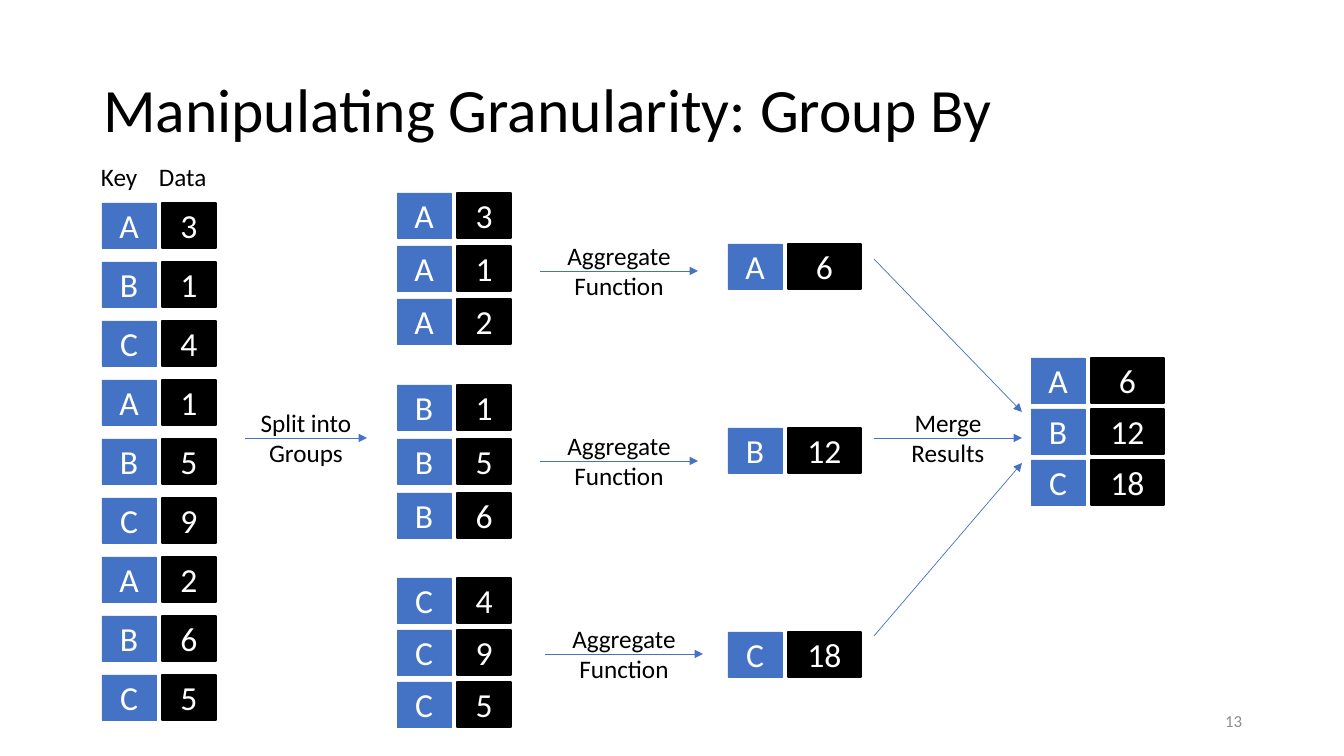
import pptx
import pptx.util
import pptx.dml.color
import pptx.enum.shapes
import pptx.enum.text
import pptx.oxml
import pptx.oxml.ns
from dataclasses import dataclass


@dataclass(frozen=True)
class Theme:
    font: str = "Calibri"
    blue: str = "4472C4"
    black: str = "000000"
    white: str = "FFFFFF"
    gray: str = "8C8C8C"
    title: int = 44
    cell: int = 24
    label: int = 18
    number: int = 12


THEME = Theme()
UNIT = 914400 / 100.8
ALIGN = pptx.enum.text.PP_ALIGN
ANCHOR = pptx.enum.text.MSO_ANCHOR
FIT = pptx.enum.text.MSO_AUTO_SIZE

TITLE = "Manipulating Granularity: Group By"
HEADS = [("Key", 91, 66), ("Data", 149, 83)]
KEY_W, ROW_H, STEP = 54, 45, 60

# left, top, pitch, data width, rows
STACKS = [
    (102, 203, 59, 54, [("A", 3), ("B", 1), ("C", 4), ("A", 1), ("B", 5),
                        ("C", 9), ("A", 2), ("B", 6), ("C", 5)]),
    (397, 193, 53, 54, [("A", 3), ("A", 1), ("A", 2)]),
    (397, 385, 54, 54, [("B", 1), ("B", 5), ("B", 6)]),
    (397, 578, 52, 54, [("C", 4), ("C", 9), ("C", 5)]),
    (728, 244, 0, 73, [("A", 6)]),
    (728, 428, 0, 73, [("B", 12)]),
    (728, 632, 0, 73, [("C", 18)]),
    (1031, 358, 51, 73, [("A", 6), ("B", 12), ("C", 18)]),
]
ARROWS = [
    (245, 438, 367, 438, "Split into\nGroups", 122),
    (540, 271, 698, 271, "Aggregate\nFunction", 157),
    (540, 461, 698, 461, "Aggregate\nFunction", 157),
    (545, 654, 703, 654, "Aggregate\nFunction", 157),
    (874, 259, 1022, 412, "", 0),
    (874, 438, 1022, 438, "Merge\nResults", 102),
    (874, 636, 1022, 463, "", 0),
]


def px(*nums):
    return [pptx.util.Emu(round(n * UNIT)) for n in nums]


def rgb(code):
    return pptx.dml.color.RGBColor.from_string(code)


def write(frame, text, size, color, align):
    frame.text = text
    for para in frame.paragraphs:
        para.alignment = align
        for run in para.runs:
            run.font.name = THEME.font
            run.font.size = pptx.util.Pt(size)
            run.font.color.rgb = rgb(color)


def add_label(shapes, text, box, align):
    frame = shapes.add_textbox(*px(*box)).text_frame
    write(frame, text, THEME.label, THEME.black, align)
    frame.word_wrap = False
    frame.auto_size = FIT.SHAPE_TO_FIT_TEXT


def add_cell(shapes, text, box, color, weight):
    cell = shapes.add_shape(pptx.enum.shapes.MSO_SHAPE.RECTANGLE, *px(*box))
    cell.shadow.inherit = False
    cell.fill.solid()
    cell.fill.fore_color.rgb = rgb(color)
    cell.line.color.rgb = rgb(color)
    cell.line.width = pptx.util.Pt(weight)
    cell.text_frame.vertical_anchor = ANCHOR.MIDDLE
    write(cell.text_frame, text, THEME.cell, THEME.white, ALIGN.CENTER)


def add_stack(shapes, left, top, pitch, wide, rows):
    for i, (key, value) in enumerate(rows):
        y = top + i * pitch
        pair = shapes.add_group_shape().shapes
        add_cell(pair, key, (left, y, KEY_W, ROW_H), THEME.blue, 0.5)
        add_cell(pair, str(value), (left + STEP, y, wide, ROW_H), THEME.black, 1)


def add_arrow(shapes, x1, y1, x2, y2, text, wide):
    kind = pptx.enum.shapes.MSO_CONNECTOR.STRAIGHT
    arrow = shapes.add_connector(kind, *px(x1, y1, x2, y2))
    arrow.line.color.rgb = rgb(THEME.blue)
    arrow.line.width = pptx.util.Pt(0.5)
    tail = pptx.oxml.parse_xml(
        f'<a:tailEnd {pptx.oxml.ns.nsdecls("a")} type="triangle"/>')
    arrow.line._get_or_add_ln().append(tail)
    props = arrow._element.spPr
    props.append(pptx.oxml.parse_xml(
        f'<a:effectLst {pptx.oxml.ns.nsdecls("a")}/>'))
    if text:
        left = (x1 + x2 - wide) / 2
        add_label(shapes, text, (left, y1 - 36, wide, 72), ALIGN.CENTER)


def main():
    deck = pptx.Presentation()
    deck.slide_width, deck.slide_height = px(1344, 756)
    slide = deck.slides.add_slide(deck.slide_layouts[5])
    shapes = slide.shapes

    title = shapes.title
    title.left, title.top, title.width, title.height = px(93, 40, 1159, 146)
    write(title.text_frame, TITLE, THEME.title, THEME.black, ALIGN.LEFT)
    title.text_frame.vertical_anchor = ANCHOR.MIDDLE
    title.text_frame.paragraphs[0].line_spacing = 0.9

    for text, left, wide in HEADS:
        add_label(shapes, text, (left, 156, wide, 40), ALIGN.LEFT)
    for stack in STACKS:
        add_stack(shapes, *stack)
    for arrow in ARROWS:
        add_arrow(shapes, *arrow)

    number = shapes.add_textbox(*px(950, 701, 302, 40)).text_frame
    number.word_wrap = True
    number.vertical_anchor = ANCHOR.MIDDLE
    write(number, "13", THEME.number, THEME.gray, ALIGN.RIGHT)

    deck.save("out.pptx")


if __name__ == "__main__":
    main()
